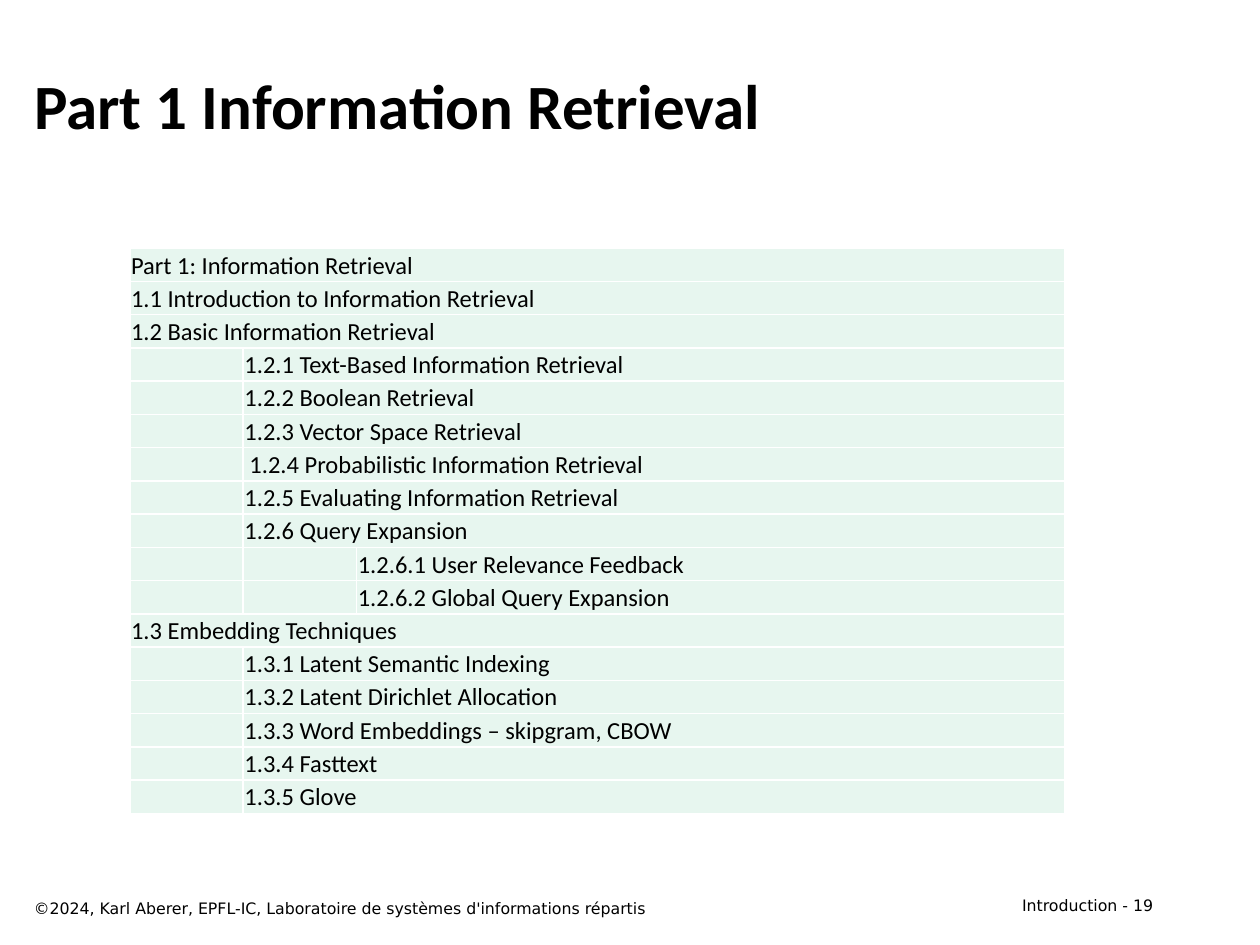
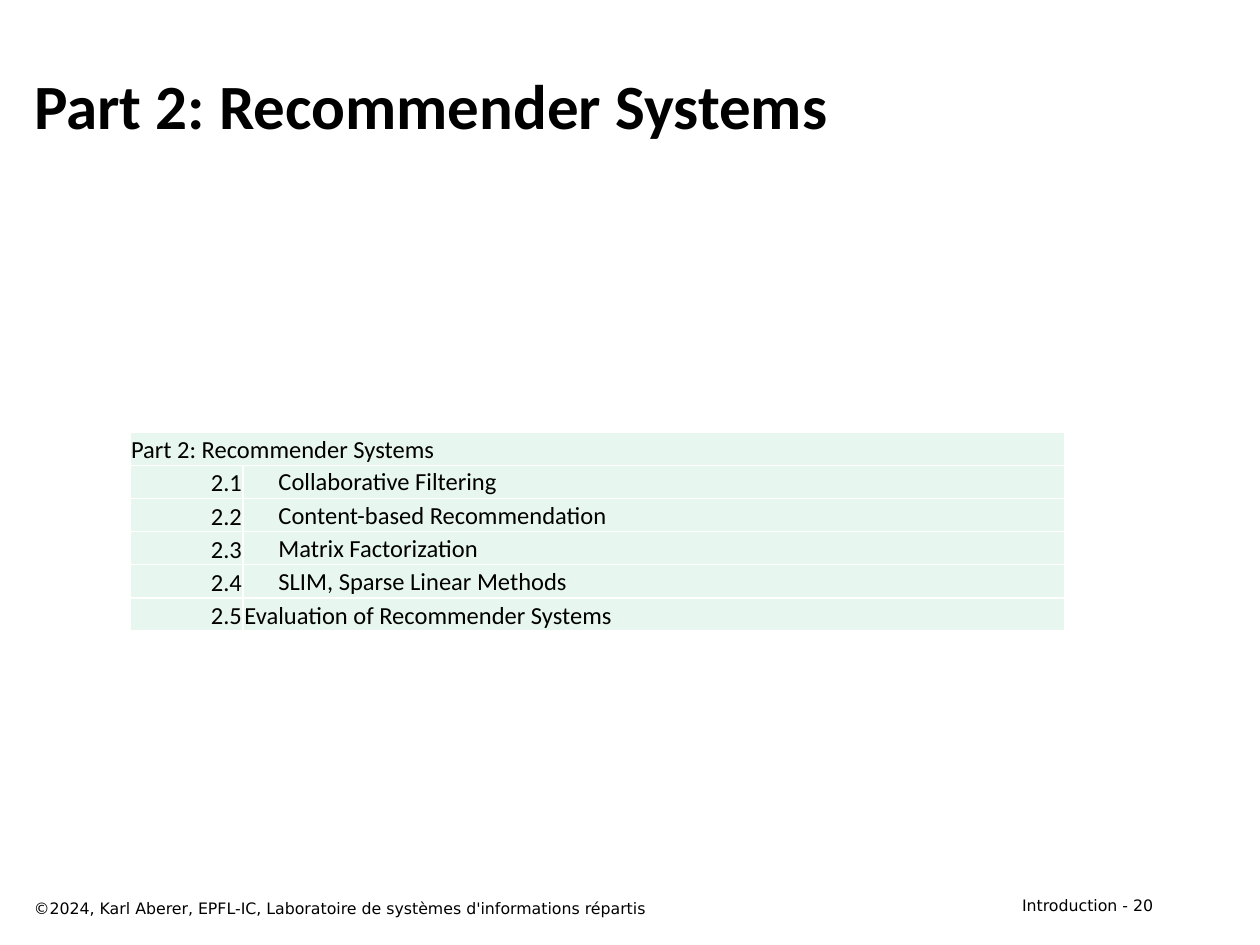
"""Build the two course outline slides, each with a title, a table and footers."""
from lxml.etree import SubElement
from pptx import Presentation
from pptx.dml.color import RGBColor
from pptx.enum.text import MSO_ANCHOR as Anchor, PP_ALIGN as Align
from pptx.oxml.ns import qn
from pptx.util import Inches, Pt

BLACK = RGBColor(0x00, 0x00, 0x00)
MINT = RGBColor(0xE7, 0xF6, 0xEF)
HEAD, FOOT = "Calibri", "DejaVu Sans"
EDGE, STEP, WIDE = 0.01, 0.28, 7.42
CREDIT = "©2024, Karl Aberer, EPFL-IC, Laboratoire de systèmes d'informations répartis"

PARTS = [
    ("Part 1 Information Retrieval", 19, 1.97, 4.49, [0.9, 0.9], [
        (["Part 1: Information Retrieval"], EDGE),
        (["1.1 Introduction to Information Retrieval"], EDGE),
        (["1.2 Basic Information Retrieval"], EDGE),
        (["", "1.2.1 Text-Based Information Retrieval"], EDGE),
        (["", "1.2.2 Boolean Retrieval"], EDGE),
        (["", "1.2.3 Vector Space Retrieval"], EDGE),
        (["", "1.2.4 Probabilistic Information Retrieval"], 0.05),
        (["", "1.2.5 Evaluating Information Retrieval"], EDGE),
        (["", "1.2.6 Query Expansion"], EDGE),
        (["", "", "1.2.6.1 User Relevance Feedback"], EDGE),
        (["", "", "1.2.6.2 Global Query Expansion"], EDGE),
        (["1.3 Embedding Techniques"], EDGE),
        (["", "1.3.1 Latent Semantic Indexing"], EDGE),
        (["", "1.3.2 Latent Dirichlet Allocation"], EDGE),
        (["", "1.3.3 Word Embeddings – skipgram, CBOW"], EDGE),
        (["", "1.3.4 Fasttext"], EDGE),
        (["", "1.3.5 Glove"], EDGE),
    ]),
    ("Part 2: Recommender Systems", 20, 3.43, 1.58, [0.9], [
        (["Part 2: Recommender Systems"], EDGE),
        (["2.1", "Collaborative Filtering"], STEP),
        (["2.2", "Content-based Recommendation"], STEP),
        (["2.3", "Matrix Factorization"], STEP),
        (["2.4", "SLIM, Sparse Linear Methods"], STEP),
        (["2.5", "Evaluation of Recommender Systems"], EDGE),
    ]),
]


def write(frame, text, size, face, align=Align.LEFT, bold=False):
    frame.text = text
    para = frame.paragraphs[0]
    para.alignment = align
    font = para.font
    font.size, font.name, font.bold = Pt(size), face, bold
    font.color.rgb = BLACK
    if not text:
        SubElement(para._p, qn("a:endParaRPr"), sz=str(size * 100))


deck = Presentation()
deck.slide_width, deck.slide_height = Inches(10), Inches(7.5)

for name, page, top, tall, steps, rows in PARTS:
    slide = deck.slides.add_slide(deck.slide_layouts[5])
    title = slide.shapes.title
    title.left, title.top = Inches(0.17), Inches(0.33)
    title.width, title.height = Inches(9.08), Inches(1)
    title.text_frame.vertical_anchor = Anchor.MIDDLE
    write(title.text_frame, name, 36, HEAD, bold=True)

    widths = steps + [WIDE - sum(steps)]
    table = slide.shapes.add_table(len(rows), len(widths), Inches(1.03),
                                   Inches(top), Inches(WIDE), Inches(tall)).table
    table.first_row = table.horz_banding = False
    for col, width in zip(table.columns, widths):
        col.width = Inches(width)

    for r, (texts, pad) in enumerate(rows):
        last = len(texts) - 1
        for c, text in enumerate(texts):
            cell = table.cell(r, c)
            if c == last and c < len(widths) - 1:
                cell.merge(table.cell(r, len(widths) - 1))
            cell.fill.solid()
            cell.fill.fore_color.rgb = MINT
            cell.margin_left = Inches(pad if c == last else EDGE)
            cell.margin_top = cell.margin_right = Inches(EDGE)
            cell.margin_bottom = 0
            listed = last > 0 and texts[0] and (c == 0 or pad == EDGE)
            cell.vertical_anchor = Anchor.BOTTOM if r == 0 or listed else Anchor.MIDDLE
            align = Align.RIGHT if c < last else Align.LEFT
            write(cell.text_frame, text, 14, HEAD, align)

    for text, left, high, width, align in [
        (CREDIT, 0.17, 7.08, 6.42, Align.LEFT),
        (f"Introduction - {page}", 7.17, 7.06, 2.08, Align.RIGHT),
    ]:
        box = slide.shapes.add_textbox(Inches(left), Inches(high), Inches(width), Inches(0.25))
        box.text_frame.word_wrap = True
        write(box.text_frame, text, 9, FOOT, align)

deck.save("out.pptx")
